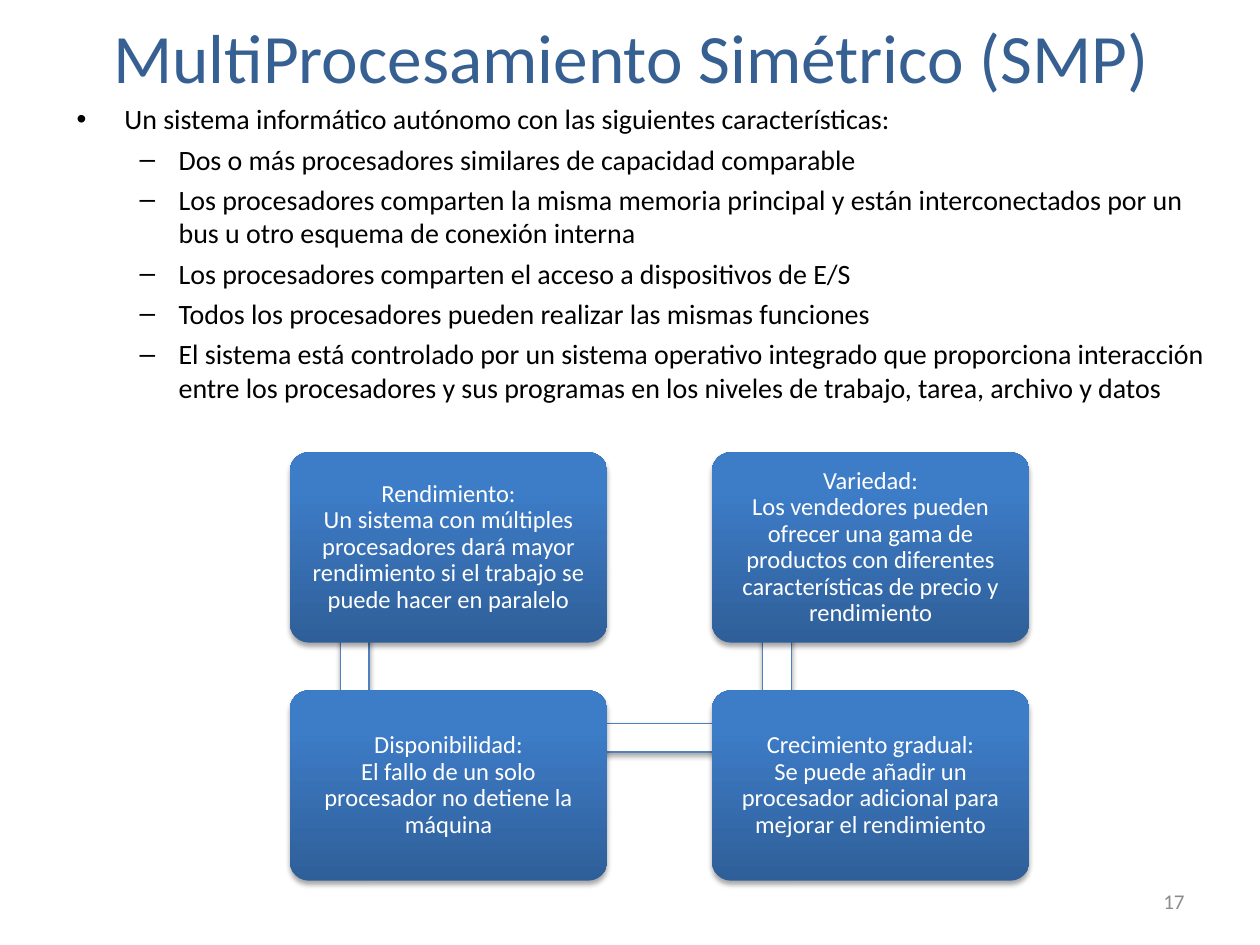
from lxml import etree
from pptx import Presentation
from pptx.dml.color import RGBColor
from pptx.enum.shapes import MSO_SHAPE
from pptx.enum.text import MSO_ANCHOR, MSO_AUTO_SIZE, PP_ALIGN
from pptx.oxml.ns import qn
from pptx.util import Inches, Pt

RECTANGLE, ROUNDED = MSO_SHAPE.RECTANGLE, MSO_SHAPE.ROUNDED_RECTANGLE
MIDDLE = MSO_ANCHOR.MIDDLE
LEFT, CENTER, RIGHT = PP_ALIGN.LEFT, PP_ALIGN.CENTER, PP_ALIGN.RIGHT
NO_AUTOFIT = MSO_AUTO_SIZE.NONE

FONT = "Calibri"
TITLE_BLUE = RGBColor(0x37, 0x60, 0x92)
BLACK = RGBColor(0x00, 0x00, 0x00)
WHITE = RGBColor(0xFF, 0xFF, 0xFF)
GRAY = RGBColor(0x8C, 0x8C, 0x8C)
LINE_BLUE = RGBColor(0x4F, 0x81, 0xBD)
CARD_DARK = RGBColor(0x2F, 0x5F, 0x99)
CARD_LIGHT = RGBColor(0x3D, 0x7C, 0xC7)

BULLET_STYLES = [("•", 0.38, -0.38), ("–", 0.81, -0.31)]
FEATURES = [
    (0, "Un sistema informático autónomo con las siguientes características:"),
    (1, "Dos o más procesadores similares de capacidad comparable"),
    (1, "Los procesadores comparten la misma memoria principal y están "
        "interconectados por un bus u otro esquema de conexión interna"),
    (1, "Los procesadores comparten el acceso a dispositivos de E/S"),
    (1, "Todos los procesadores pueden realizar las mismas funciones"),
    (1, "El sistema está controlado por un sistema operativo integrado que "
        "proporciona interacción entre los procesadores y sus programas en los "
        "niveles de trabajo, tarea, archivo y datos"),
]
ADVANTAGES = [
    [("Rendimiento:", "Un sistema con múltiples procesadores dará mayor "
      "rendimiento si el trabajo se puede hacer en paralelo"),
     ("Variedad:", "Los vendedores pueden ofrecer una gama de productos con "
      "diferentes características de precio y rendimiento")],
    [("Disponibilidad:", "El fallo de un solo procesador no detiene la máquina"),
     ("Crecimiento gradual:", "Se puede añadir un procesador adicional para "
      "mejorar el rendimiento")],
]


def format_paragraph(paragraph, size, color, alignment):
    """Set the alignment and the font of every run in a paragraph."""
    paragraph.alignment = alignment
    for run in paragraph.runs:
        run.font.name = FONT
        run.font.size = Pt(size)
        run.font.color.rgb = color


def add_bullet(paragraph, level):
    """Give a paragraph the bullet and indents of its level."""
    character, margin, indent = BULLET_STYLES[level]
    paragraph.level = level
    properties = paragraph._p.get_or_add_pPr()
    properties.set("marL", str(Inches(margin)))
    properties.set("indent", str(Inches(indent)))
    etree.SubElement(properties, qn("a:buFont"), typeface="Arial")
    etree.SubElement(properties, qn("a:buChar"), char=character)


def add_soft_shadow(shape):
    """Replace the theme shadow with a soft one below the shape."""
    shape.shadow.inherit = False
    effects = shape._element.spPr.find(qn("a:effectLst"))
    shadow = etree.SubElement(effects, qn("a:outerShdw"), blurRad=str(Pt(3.1)),
                              dist=str(Pt(1.8)), dir="5400000", rotWithShape="0")
    color = etree.SubElement(shadow, qn("a:srgbClr"), val=str(BLACK))
    etree.SubElement(color, qn("a:alpha"), val="35000")


def place_title(slide, left, top, width, height):
    """Move and format the title placeholder."""
    title = slide.shapes.title
    title.left, title.top = Inches(left), Inches(top)
    title.width, title.height = Inches(width), Inches(height)
    text_frame = title.text_frame
    text_frame.text = "MultiProcesamiento Simétrico (SMP)"
    text_frame.auto_size = NO_AUTOFIT
    text_frame.vertical_anchor = MIDDLE
    format_paragraph(text_frame.paragraphs[0], 39.6, TITLE_BLUE, CENTER)


def add_features(slide, left, top, width, height):
    """Add the two-level list of system features."""
    box = slide.shapes.add_textbox(Inches(left), Inches(top), Inches(width), Inches(height))
    text_frame = box.text_frame
    text_frame.word_wrap = True
    text_frame.text = "\n".join(text for _, text in FEATURES)
    for paragraph, (level, _) in zip(text_frame.paragraphs, FEATURES):
        paragraph.space_before = Pt(3.8)
        format_paragraph(paragraph, 16, BLACK, LEFT)
        add_bullet(paragraph, level)


def add_link(slide, left, top, width, height):
    """Add one white bar that links two cards."""
    link = slide.shapes.add_shape(RECTANGLE, Inches(left), Inches(top),
                                  Inches(width), Inches(height))
    link.fill.solid()
    link.fill.fore_color.rgb = WHITE
    link.line.color.rgb = LINE_BLUE
    link.line.width = Pt(0.75)
    add_soft_shadow(link)


def add_card(slide, left, top, width, height, heading, detail):
    """Add one rounded gradient card with its text."""
    card = slide.shapes.add_shape(ROUNDED, Inches(left), Inches(top),
                                  Inches(width), Inches(height))
    card.adjustments[0] = 0.1
    card.fill.gradient()
    card.fill.gradient_angle = 90
    bottom, upper = card.fill.gradient_stops
    bottom.color.rgb, bottom.position = CARD_DARK, 0
    upper.color.rgb, upper.position = CARD_LIGHT, 0.8
    card.line.fill.background()
    add_soft_shadow(card)
    text_frame = card.text_frame
    text_frame.word_wrap = True
    text_frame.vertical_anchor = MIDDLE
    text_frame.margin_left = text_frame.margin_right = Inches(0.06)
    text_frame.margin_top = text_frame.margin_bottom = Inches(0.06)
    paragraph = text_frame.paragraphs[0]
    paragraph.text = f"{heading}\n{detail}"
    paragraph.line_spacing = 0.9
    format_paragraph(paragraph, 14, WHITE, CENTER)


def add_advantages(slide, left, top, width, height):
    """Add the two by two grid of cards and the bars between them."""
    card_width, card_height, bar = 2.52, 1.51, 0.23
    column_step, row_step = width - card_width, height - card_height
    for column in range(2):
        add_link(slide, left + 0.4 + column * column_step, top + 0.38, bar, 1.88)
    add_link(slide, left + 0.52, top + row_step + 0.26, column_step, bar)
    for row, cards in enumerate(ADVANTAGES):
        for column, (heading, detail) in enumerate(cards):
            add_card(slide, left + column * column_step, top + row * row_step,
                     card_width, card_height, heading, detail)


def add_page_number(slide, left, top, width, height):
    """Add the page number at the lower right."""
    box = slide.shapes.add_textbox(Inches(left), Inches(top), Inches(width), Inches(height))
    text_frame = box.text_frame
    text_frame.word_wrap = True
    text_frame.vertical_anchor = MIDDLE
    text_frame.text = "17"
    format_paragraph(text_frame.paragraphs[0], 12, GRAY, RIGHT)


def main():
    """Build and save the presentation."""
    presentation = Presentation()
    presentation.slide_width, presentation.slide_height = Inches(10), Inches(7.5)
    slide = presentation.slides.add_slide(presentation.slide_layouts[5])
    place_title(slide, 0.51, 0.13, 9, 0.63)
    add_features(slide, 0.51, 0.76, 9.33, 2.91)
    add_page_number(slide, 7.17, 6.95, 2.33, 0.4)
    add_advantages(slide, 2.3, 3.59, 5.87, 3.4)
    presentation.save("out.pptx")


if __name__ == "__main__":
    main()
